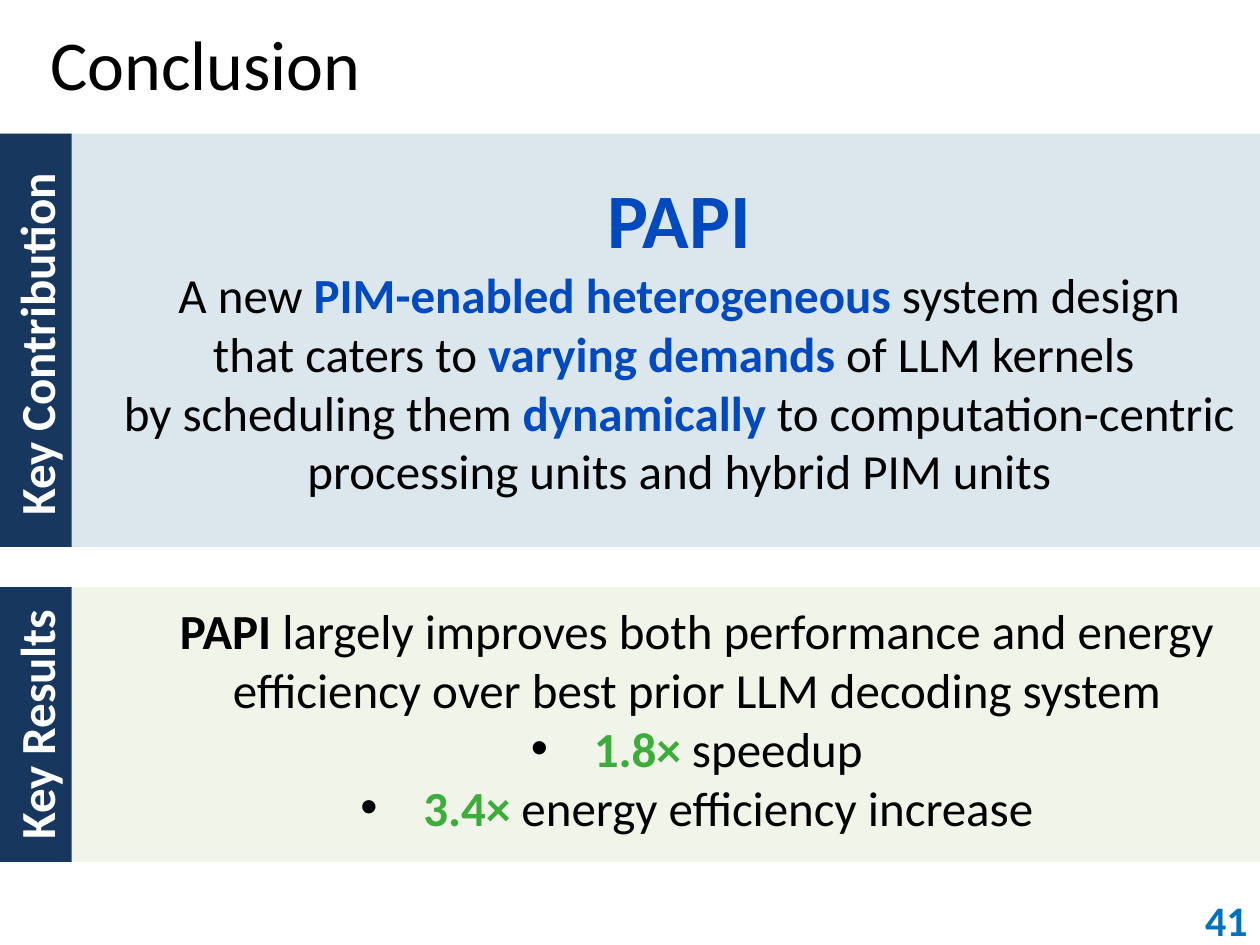
"""Build the conclusion slide: key contribution and key results."""
from lxml.etree import SubElement
from pptx import Presentation
from pptx.dml.color import RGBColor
from pptx.enum.shapes import MSO_SHAPE
from pptx.enum.text import MSO_ANCHOR, PP_ALIGN
from pptx.oxml.ns import qn
from pptx.util import Inches, Pt


def hue(code):
    return RGBColor.from_string(code)


def write(shape, text, size=28, color="000000", strong=None, bold=False,
          align=PP_ALIGN.CENTER, margin=0, bullet=False):
    """Add one paragraph; parts between asterisks are bold in the strong colour."""
    frame = shape.text_frame
    frame.word_wrap = True
    para = frame.paragraphs[-1]
    if para.runs:
        para = frame.add_paragraph()
    para.alignment = align
    props = para._p.get_or_add_pPr()
    props.set("marL", str(Inches(margin)))
    props.set("indent", str(Inches(-0.5 if bullet else 0)))
    if bullet:
        tint = SubElement(props, qn("a:buClr"))
        SubElement(tint, qn("a:srgbClr"), val="000000")
        SubElement(props, qn("a:buFont"), typeface="Arial")
        SubElement(props, qn("a:buChar"), char="•")
    for place, part in enumerate(text.split("*")):
        if part:
            marked = place % 2 == 1
            run = para.add_run()
            run.text = part
            run.font.name = "Calibri"
            run.font.size = Pt(size)
            run.font.bold = bold or marked
            run.font.color.rgb = hue(strong if marked else color)


deck = Presentation()
deck.slide_width, deck.slide_height = Inches(10), Inches(7.5)
slide = deck.slides.add_slide(deck.slide_layouts[5])
shapes = slide.shapes

title = shapes.title
title.left, title.top = Inches(0), Inches(0)
title.width, title.height = Inches(10), Inches(1)
title.text_frame.margin_left = Inches(0.4)
title.text_frame.vertical_anchor = MSO_ANCHOR.MIDDLE
write(title, "Conclusion", size=40, align=PP_ALIGN.LEFT)

thick = 0.57
bands = [
    ("Key Contribution", 1.06, 3.28, "DBE7ED", 0.15, PP_ALIGN.LEFT),
    ("Key Results", 4.66, 2.18, "F1F5E9", 0, PP_ALIGN.CENTER),
]
for label, top, high, tone, lift, align in bands:
    band = shapes.add_shape(MSO_SHAPE.RECTANGLE, Inches(0), Inches(top),
                            Inches(10), Inches(high))
    left, mid = (thick - high) / 2, top + (high - thick) / 2
    bar = shapes.add_shape(MSO_SHAPE.RECTANGLE, Inches(left), Inches(mid),
                           Inches(high), Inches(thick))
    for shape, fill in ((band, tone), (bar, "17375E")):
        shape.shadow.inherit = False
        shape.fill.solid()
        shape.fill.fore_color.rgb = hue(fill)
        shape.line.fill.background()
    tag = shapes.add_textbox(Inches(left), Inches(mid - lift),
                             Inches(high), Inches(thick))
    bar.rotation = tag.rotation = 270
    write(tag, label, color="FFFFFF", bold=True, align=align)

main = shapes.add_textbox(Inches(0.29), Inches(1.39), Inches(9.71), Inches(2.55))
main.text_frame.vertical_anchor = MSO_ANCHOR.MIDDLE
blue = "0049BF"
write(main, "*PAPI*", size=44, strong=blue, margin=0.49)
for line in (
    "A new *PIM-enabled heterogeneous* system design",
    "that caters to *varying demands* of LLM kernels ",
    "by scheduling them *dynamically* to computation-centric "
    "processing units and hybrid PIM units",
):
    write(main, line, strong=blue, margin=0.49)

gains = shapes.add_textbox(Inches(0.57), Inches(4.72), Inches(9.43), Inches(1.99))
write(gains, "*PAPI* largely improves both performance and energy efficiency "
      "over best prior LLM decoding system", strong="000000", margin=0.49)
for line in ("*1.8×* speedup", "*3.4×* energy efficiency increase"):
    write(gains, line, strong="3CAC3A", margin=0.99, bullet=True)

page = shapes.add_textbox(Inches(8), Inches(7.1), Inches(2), Inches(0.4))
page.text_frame.vertical_anchor = MSO_ANCHOR.MIDDLE
write(page, "41", size=24, color="0070C0", bold=True, align=PP_ALIGN.RIGHT)

deck.save("out.pptx")
